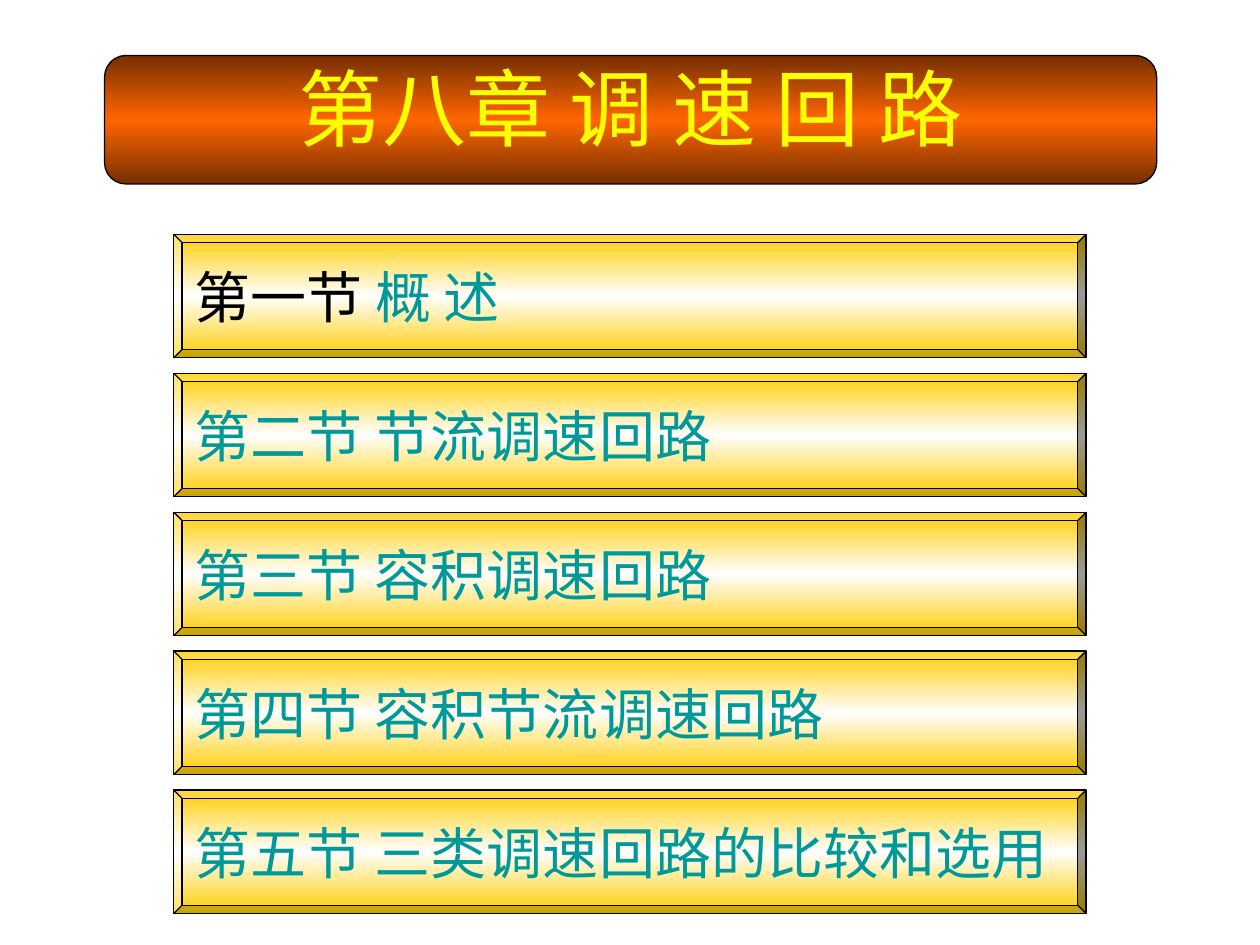
from copy import deepcopy
from lxml.etree import SubElement
from pptx import Presentation
from pptx.dml.color import RGBColor
from pptx.enum.shapes import MSO_SHAPE as Shape
from pptx.enum.text import MSO_ANCHOR as Anchor, PP_ALIGN as Align
from pptx.oxml.ns import qn
from pptx.util import Inches, Pt

BLACK = RGBColor(0x00, 0x00, 0x00)
WHITE = RGBColor(0xFF, 0xFF, 0xFF)
TEAL = RGBColor(0x00, 0x99, 0x99)
YELLOW = RGBColor(0xFF, 0xFF, 0x00)
GOLD = RGBColor(0xFF, 0xCC, 0x00)
ORANGE = RGBColor(0xFF, 0x66, 0x00)
BROWN = RGBColor(0x75, 0x2F, 0x00)
LATIN, HAN = "Arial", "Noto Sans CJK SC"

TITLE = [("第八章 ", YELLOW, LATIN), ("调 速 回 路", YELLOW, HAN)]
SECTIONS = [
    [("第一节 ", BLACK, HAN), ("概 述", TEAL, HAN)],
    [("第二节 节流调速回路", TEAL, HAN)],
    [("第三节 容积调速回路", TEAL, HAN)],
    [("第四节 容积节流调速回路", TEAL, HAN)],
    [("第五节 三类调速回路的比较和选用", TEAL, HAN)],
]
LEFT, TOP, WIDTH, HEIGHT, STEP = 1.38, 1.86, 7.24, 0.98, 1.1025
BEVEL = 0.065


def write(shape, parts, size, align=Align.LEFT, spacing=1.0):
    frame = shape.text_frame
    frame.word_wrap = True
    frame.vertical_anchor = Anchor.MIDDLE
    para = frame.paragraphs[0]
    para.alignment = align
    para.line_spacing = spacing
    for text, color, face in parts:
        run = para.add_run()
        run.text = text
        run.font.size = Pt(size)
        run.font.name = face
        run.font.color.rgb = color
        SubElement(run.font._element, qn("a:ea"), typeface=HAN)


def add_panel(slide, kind, box, adjust, edge, middle):
    shape = slide.shapes.add_shape(kind, *map(Inches, box))
    shape.adjustments[0] = adjust
    shape.shadow.inherit = False
    shape.line.color.rgb = BLACK
    shape.line.width = Pt(0.75)
    fill = shape.fill
    fill.gradient()
    fill.gradient_angle = 270
    stops = shape._element.spPr.find(qn("a:gradFill")).find(qn("a:gsLst"))
    stops.append(deepcopy(stops[0]))
    for stop, place, color in zip(fill.gradient_stops, (0, 0.5, 1), (edge, middle, edge)):
        stop.position = place
        stop.color.rgb = color
    return shape


def main():
    deck = Presentation()
    deck.slide_width, deck.slide_height = Inches(10), Inches(7.5)
    slide = deck.slides.add_slide(deck.slide_layouts[6])
    banner = add_panel(slide, Shape.ROUNDED_RECTANGLE, (0.83, 0.44, 8.35, 1.02),
                       0.167, BROWN, ORANGE)
    write(banner, TITLE, 48, align=Align.CENTER, spacing=0.7)
    for row, parts in enumerate(SECTIONS):
        box = (LEFT, TOP + row * STEP, WIDTH, HEIGHT)
        panel = add_panel(slide, Shape.BEVEL, box, BEVEL / HEIGHT, GOLD, WHITE)
        write(panel, parts, 32)
    deck.save("out.pptx")


if __name__ == "__main__":
    main()
